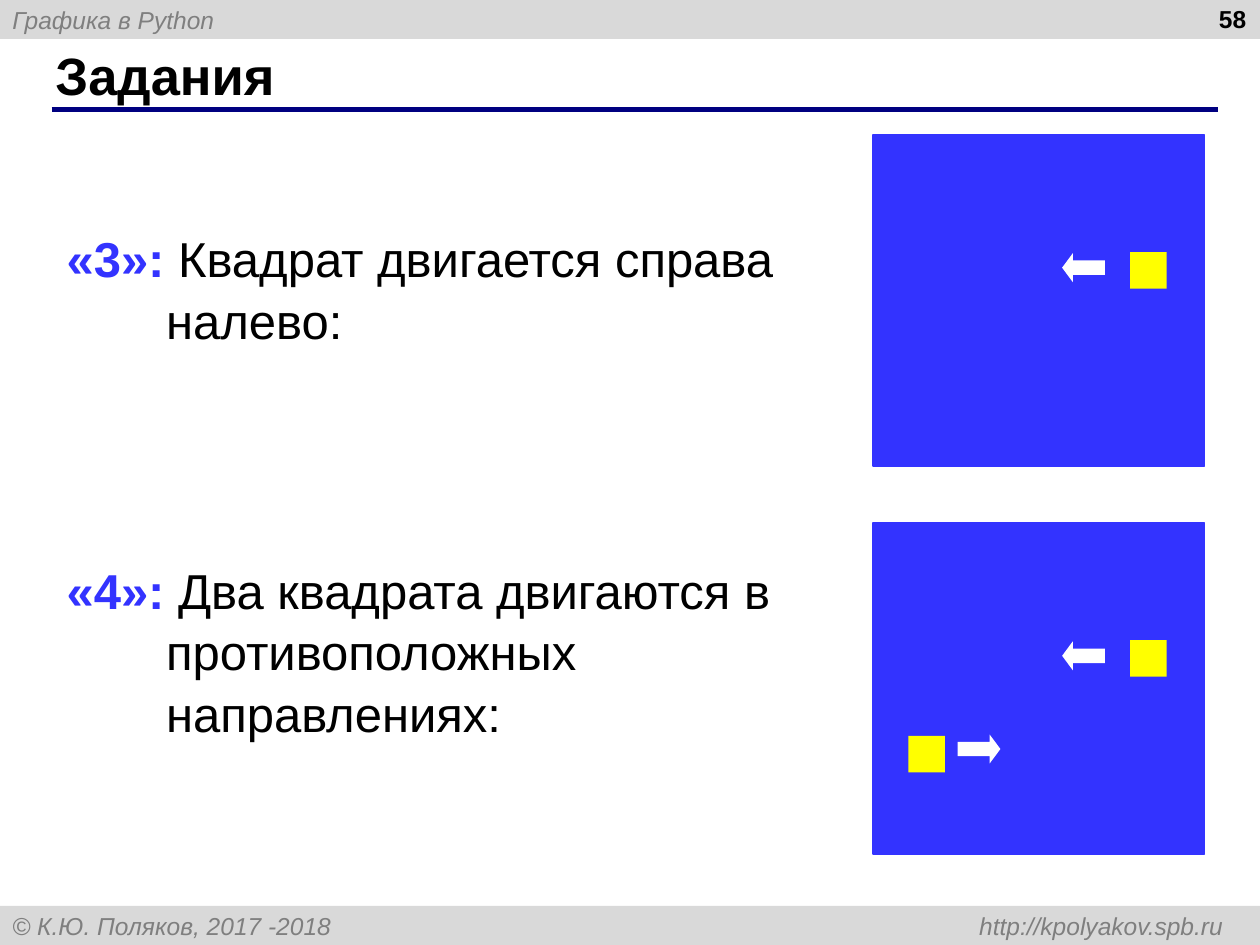
import pptx
import pptx.util
import pptx.dml.color
import pptx.enum.shapes
import pptx.enum.text
import pptx.oxml
import pptx.oxml.ns

Inches = pptx.util.Inches
Pt = pptx.util.Pt
RGBColor = pptx.dml.color.RGBColor
Kind = pptx.enum.shapes.MSO_SHAPE
Align = pptx.enum.text.PP_ALIGN
Anchor = pptx.enum.text.MSO_ANCHOR

FONT = "Arial"
BLACK = RGBColor(0, 0, 0)
WHITE = RGBColor(255, 255, 255)
GRAY = RGBColor(0x7F, 0x7F, 0x7F)
PALE = RGBColor(0xD9, 0xD9, 0xD9)
NAVY = RGBColor(0, 0, 0x80)
BLUE = RGBColor(0x33, 0x33, 0xFF)
YELLOW = RGBColor(255, 255, 0)

TASKS = [
    ("«3»: ", "Квадрат двигается справа налево:"),
    ("«4»: ", "Два квадрата двигаются в противоположных направлениях:"),
]


def style(run, size, color, bold=False, slant=False):
    """Format one run of text."""
    font = run.font
    font.name, font.size = FONT, Pt(size)
    font.bold, font.italic = bold, slant
    font.color.rgb = color


def block(slide, kind, box, fill, edge=None):
    """Add a filled shape, with an outline when an edge colour is given."""
    shape = slide.shapes.add_shape(kind, *map(Inches, box))
    shape.shadow.inherit = False
    shape.fill.solid()
    shape.fill.fore_color.rgb = fill
    if edge is None:
        shape.line.fill.background()
    else:
        shape.line.color.rgb = edge
        shape.line.width = Pt(1)
    return shape


def band(slide, box, text, stop=None):
    """Add a gray strip of small text, with an optional right tab stop."""
    shape = block(slide, Kind.RECTANGLE, box, PALE)
    frame = shape.text_frame
    frame.vertical_anchor = Anchor.MIDDLE
    frame.text = text
    para = frame.paragraphs[0]
    para.alignment = Align.LEFT
    if stop:
        tabs = pptx.oxml.parse_xml(
            f'<a:tabLst {pptx.oxml.ns.nsdecls("a")}>'
            f'<a:tab pos="{Inches(stop)}" algn="r"/></a:tabLst>')
        para._p.get_or_add_pPr().append(tabs)
    for run in para.runs:
        style(run, 14, GRAY, slant=True)


def head(slide, box):
    """Place the title and the rule under it."""
    title = slide.shapes.title
    title.left, title.top, title.width, title.height = map(Inches, box)
    frame = title.text_frame
    frame.text = "Задания"
    frame.vertical_anchor = Anchor.MIDDLE
    para = frame.paragraphs[0]
    para.alignment = Align.LEFT
    style(para.runs[0], 30, BLACK, bold=True)
    left, top, width, height = box
    y = Inches(top + height + 0.02)
    rule = slide.shapes.add_connector(
        pptx.enum.shapes.MSO_CONNECTOR.STRAIGHT,
        Inches(left + 0.07), y, Inches(left + width + 0.17), y)
    rule.line.color.rgb = NAVY
    rule.line.width = Pt(3)
    rule._element.spPr.append(pptx.oxml.parse_xml(
        f'<a:effectLst {pptx.oxml.ns.nsdecls("a")}/>'))


def number(slide, box):
    """Place the page number."""
    frame = slide.shapes.add_textbox(*map(Inches, box)).text_frame
    frame.word_wrap = True
    frame.text = "58"
    para = frame.paragraphs[0]
    para.alignment = Align.RIGHT
    style(para.runs[0], 14, BLACK, bold=True)


def tasks(slide, box):
    """List the tasks with hanging indents and bold blue marks."""
    frame = slide.shapes.add_textbox(*map(Inches, box)).text_frame
    frame.word_wrap = True
    for i, (mark, text) in enumerate(TASKS):
        para = frame.add_paragraph() if i else frame.paragraphs[0]
        para.line_spacing = 1.05
        if i:
            para.space_before = Pt(119)
        props = para._p.get_or_add_pPr()
        props.set("marL", str(Inches(0.79)))
        props.set("indent", str(Inches(-0.79)))
        for part, color in ((mark, BLUE), (text, BLACK)):
            run = para.add_run()
            run.text = part
            style(run, 28, color, bold=color == BLUE)


def scene(slide, box, both=False):
    """Draw a blue field with one moving square, or two opposed ones."""
    left, top = box[:2]
    block(slide, Kind.RECTANGLE, box, BLUE, BLUE)
    moves = [(Kind.LEFT_ARROW, 2.04, 0.93, 1.5, 0.94)]
    if both:
        moves.append((Kind.RIGHT_ARROW, 0.28, 1.69, 0.67, 1.68))
    for kind, x, y, tip, rise in moves:
        block(slide, Kind.RECTANGLE, (left + x, top + y, 0.29, 0.29), YELLOW)
        arrow = block(slide, kind, (left + tip, top + rise, 0.34, 0.23), WHITE)
        arrow.adjustments[0] = 0.5
        arrow.adjustments[1] = 0.37


def main():
    """Build the slide and save it."""
    deck = pptx.Presentation()
    deck.slide_width, deck.slide_height = Inches(10), Inches(7.5)
    slide = deck.slides.add_slide(deck.slide_layouts[5])
    band(slide, (0, 0, 10, 0.31), "Графика в Python")
    band(slide, (0, 7.19, 10, 0.31),
         "© К.Ю. Поляков, 2017 -2018\thttp://kpolyakov.spb.ru", 9.61)
    head(slide, (0.34, 0.33, 9.16, 0.52))
    number(slide, (7.66, -0.02, 2.33, 0.52))
    tasks(slide, (0.43, 1.74, 6.21, 4.1))
    scene(slide, (6.93, 1.07, 2.63, 2.63))
    scene(slide, (6.93, 4.15, 2.63, 2.63), both=True)
    deck.save("out.pptx")


if __name__ == "__main__":
    main()
